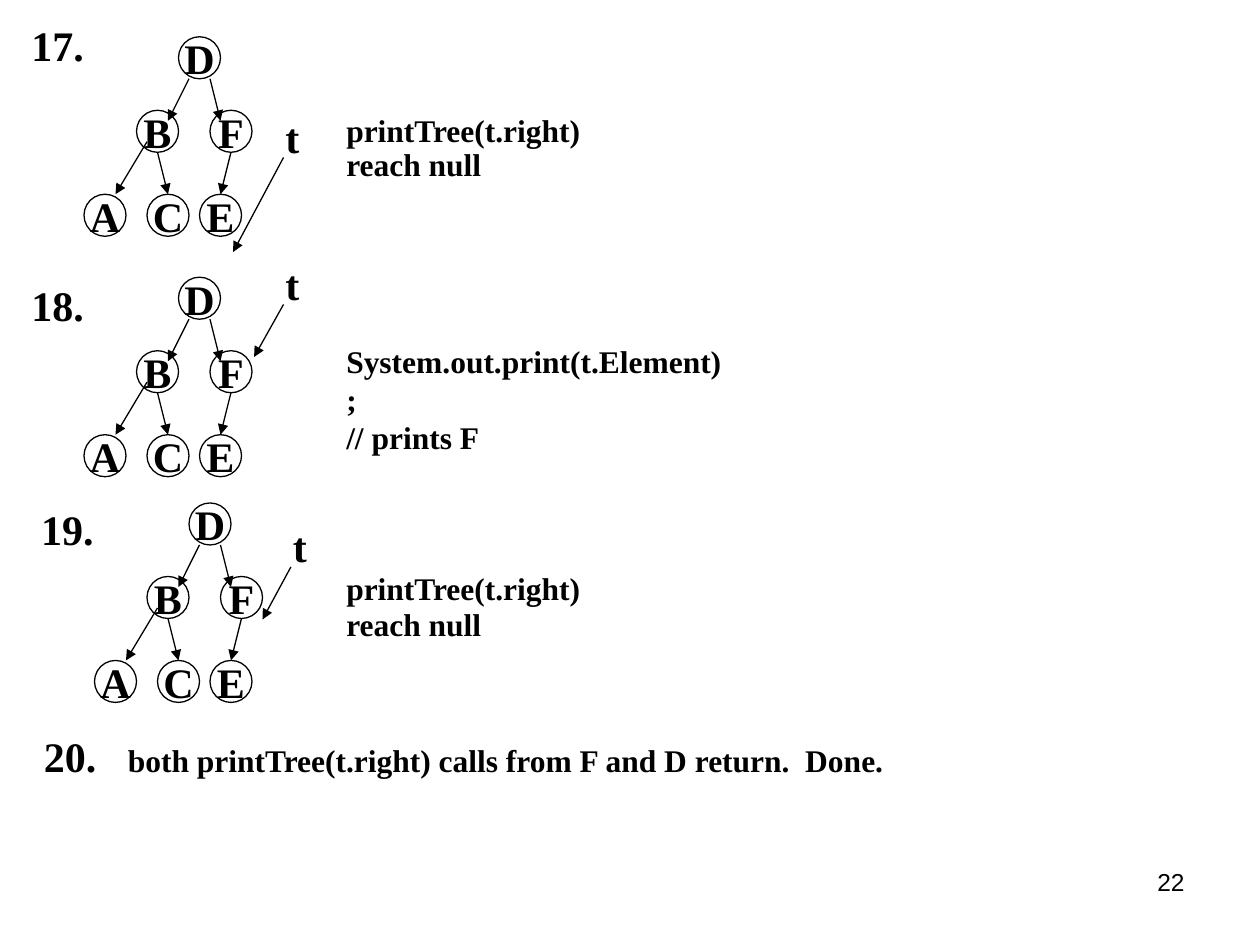
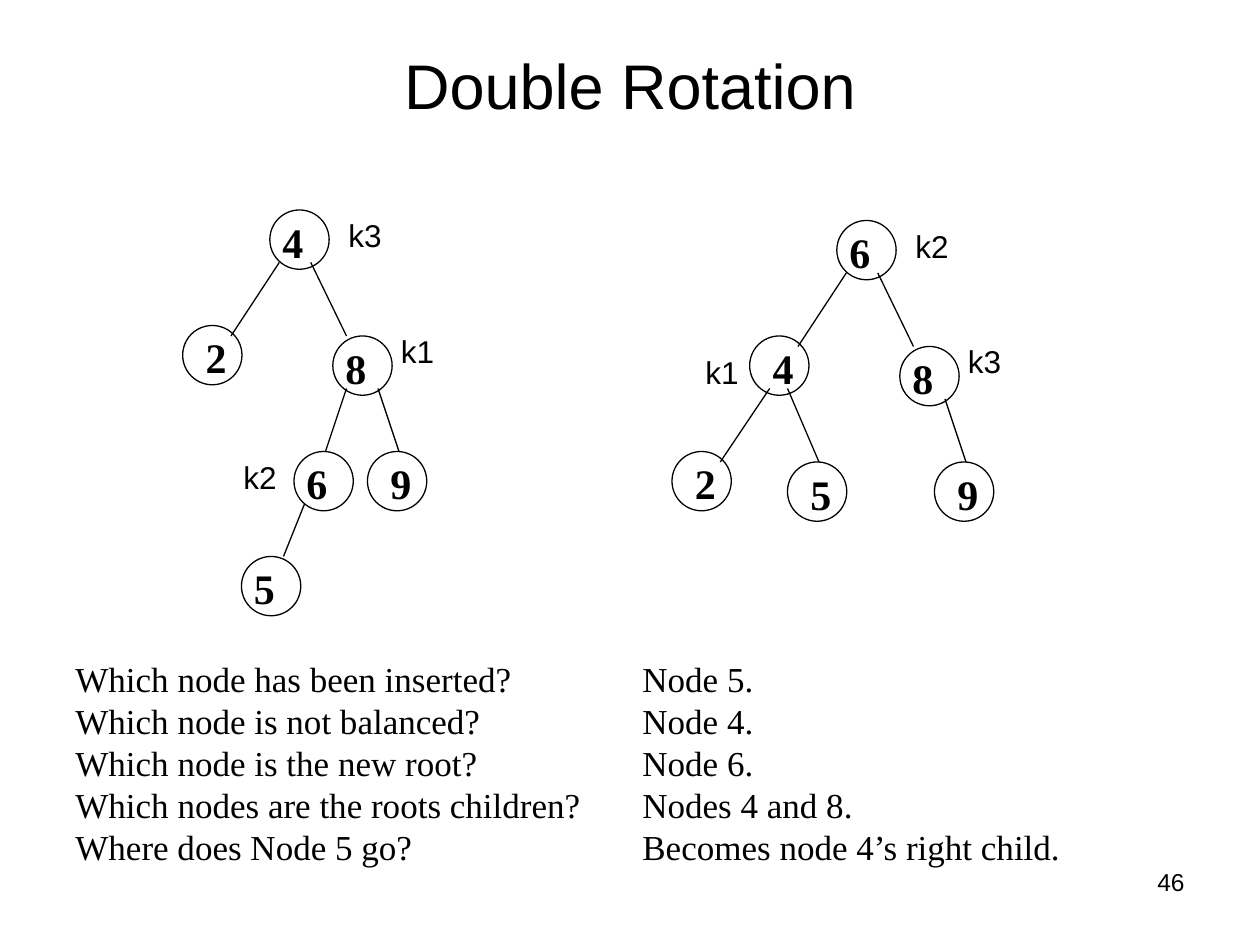
from pptx import Presentation
from pptx.dml.color import RGBColor
from pptx.enum.shapes import MSO_CONNECTOR as Conn, MSO_SHAPE as Geom
from pptx.enum.text import MSO_ANCHOR as Anchor, MSO_AUTO_SIZE as Auto, PP_ALIGN as Align
from pptx.oxml.ns import qn
from pptx.util import Emu, Pt
from lxml.etree import SubElement as sub

# Grid: twelve cells to the inch, so a slide is 120 columns by 90 rows.
CELL, COLS, ROWS = 76200, 120, 90
INK = "000000"
SERIF, SANS = "Times New Roman", "Arial"
MARK = dict(name=SERIF, size=Pt(24), bold=True)
CODE = dict(name=SERIF, size=Pt(18), bold=True)
TAG = dict(name=SANS, size=Pt(18))
BODY = dict(name=SERIF, size=Pt(20))
TITLE = dict(name=SANS, size=Pt(36))
FOOT = dict(name=SANS, size=Pt(14))

# Letter tree: cells counted from the root's corner.
SPOTS = {"D": (0, 0), "B": (-4, 7), "F": (3, 7),
         "A": (-9, 15), "C": (-3, 15), "E": (2, 15)}
EDGES = [(1, 4, -1, 8), (3, 4, 4, 8), (-3, 10, -6, 15),
         (-2, 11, -1, 15), (5, 11, 4, 15)]

# Number trees: (digit, column, row, shift of the digit in its circle).
BEFORE = dict(
    nodes=[(4, 25.7, 20, 0), (2, 17.4, 31, 1), (8, 31.7, 32, 0),
           (6, 28, 43, 0), (9, 35, 43, 1), (5, 23, 53, 0)],
    edges=[(26.6, 25, 22, 32), (29.6, 25, 33, 32), (33, 37, 31, 43),
           (36, 37, 38, 43), (27, 53, 29, 48)],
    tags=[("k1", 37, 31), ("k2", 22, 43), ("k3", 32, 20)])
AFTER = dict(
    nodes=[(6, 79.7, 21, 0), (4, 71.4, 32, 1), (8, 85.7, 33, 0),
           (5, 75, 44, 1), (9, 89, 44, 1), (2, 64, 43, 1)],
    edges=[(80.6, 26, 76, 33), (83.6, 26, 87, 33), (75, 37, 78, 44),
           (90, 38, 92, 44), (73.3, 37, 68.6, 44)],
    tags=[("k3", 91, 32), ("k1", 66, 33), ("k2", 86, 21)])


def cells(*nums):
    """Turn grid cells into lengths."""
    return [Emu(round(n * CELL)) for n in nums]


def paint(code):
    """Turn a hex string into a colour."""
    return RGBColor.from_string(code)


def write(shape, lines, style, align=Align.LEFT, **frame):
    """Put lines of text in a shape; frame holds text frame settings."""
    body = shape.text_frame
    for key, val in frame.items():
        setattr(body, key, val)
    body.text = "\n".join(lines)
    for para in body.paragraphs:
        para.alignment = align
        font = para.runs[0].font
        font.color.rgb = paint(INK)
        for key, val in style.items():
            setattr(font, key, val)


def block(to, lines, box, style, align=Align.LEFT, **frame):
    """Add a wrapping text box."""
    write(to.add_textbox(*cells(*box)), lines, style, align,
          word_wrap=True, **frame)


def label(to, text, x, y, wide, style):
    """Add a text box that hugs its lines."""
    lines = text.split("\n")
    high = 1.2 + len(lines) * style["size"].pt / 5
    write(to.add_textbox(*cells(x, y, wide, high)), lines, style,
          word_wrap=False, auto_size=Auto.SHAPE_TO_FIT_TEXT)


def ring(to, x, y, size):
    """Add an empty circle."""
    disc = to.add_shape(Geom.OVAL, *cells(x, y, size, size))
    disc.shadow.inherit = False
    disc.fill.background()
    disc.line.color.rgb = paint(INK)
    disc.line.width = Pt(0.75)
    return disc


def link(to, ends, head=False):
    """Add a straight line, with an arrowhead if asked."""
    line = to.add_connector(Conn.STRAIGHT, *cells(*ends))
    line.line.color.rgb = paint(INK)
    line.line.width = Pt(0.75)
    if head:
        sub(line.line._get_or_add_ln(), qn("a:tailEnd"), type="triangle")
    sub(line._element.spPr, qn("a:effectLst"))


def step(to, x, y, arrow):
    """Draw the letter tree with its root at x, y and the pointer t."""
    for name, (dx, dy) in SPOTS.items():
        write(ring(to, x + dx, y + dy, 4), [name], MARK, Align.CENTER,
              word_wrap=False, vertical_anchor=Anchor.MIDDLE)
    for x1, y1, x2, y2 in EDGES:
        link(to, (x + x1, y + y1, x + x2, y + y2), True)
    link(to, arrow, True)
    label(to, "t", arrow[0] - 1, arrow[1] - 5, 3.7, MARK)


def tree(to, nodes, edges, tags):
    """Draw a number tree as one group."""
    group = to.add_group_shape().shapes
    for digit, x, y, shift in nodes:
        ring(group, x, y, 5.65)
        label(group, str(digit), x + shift, y, 4.4, MARK)
    for ends in edges:
        link(group, ends)
    for text, x, y in tags:
        label(group, text, x, y, 5.65, TAG)


def page(deck, num):
    """Add a blank slide with its number; return its shapes."""
    to = deck.slides.add_slide(deck.slide_layouts[6]).shapes
    block(to, [str(num)], (86, 82, 28, 6.25), FOOT, Align.RIGHT)
    return to


def steps(deck):
    """Build the slide of traversal steps."""
    to = page(deck, 22)
    step(to, 17, 3.5, (27, 15, 22.2, 24))
    step(to, 17, 26.4, (27, 29, 24.2, 34))
    step(to, 18, 47.9, (27.7, 54, 25, 59))
    for text, x, y in [("17.", 1.8, 1.3), ("18.", 1.8, 26),
                       ("19.", 2.75, 47.4), ("20.", 3, 69)]:
        label(to, text, x, y, 7.4, MARK)
    for text, x, y, wide in [
            ("printTree(t.right)", 31.8, 10, 25),
            ("reach null", 31.8, 13.2, 15.4),
            ("System.out.print(t.Element);\n// prints F", 31.8, 32, 39.1),
            ("printTree(t.right)", 31.8, 53.6, 25),
            ("reach null", 31.8, 57, 15.4),
            ("both printTree(t.right) calls from F and D return.  Done.",
             11, 70, 74.9)]:
        label(to, text, x, y, wide, CODE)


def rotate(deck):
    """Build the slide on double rotation."""
    to = page(deck, 46)
    block(to, ["Double Rotation"], (9, 3, COLS - 18, 10), TITLE, Align.CENTER,
          vertical_anchor=Anchor.MIDDLE)
    tree(to, **BEFORE)
    tree(to, **AFTER)
    pairs = [("Which node has been inserted?", "Node 5."),
             ("Which node is not balanced?", "Node 4."),
             ("Which node is the new root?", "Node 6."),
             ("Which nodes are the roots children?", "Nodes 4 and 8."),
             ("Where does Node 5 go?", "Becomes node 4’s right child.")]
    for lines, x, wide in zip(zip(*pairs), (6, COLS / 2), (52, 47)):
        block(to, lines, (x, 62, wide, 21.4), BODY,
              auto_size=Auto.SHAPE_TO_FIT_TEXT)


def main():
    """Build and save the deck."""
    deck = Presentation()
    deck.slide_width, deck.slide_height = cells(COLS, ROWS)
    steps(deck)
    rotate(deck)
    deck.save("out.pptx")


main()
